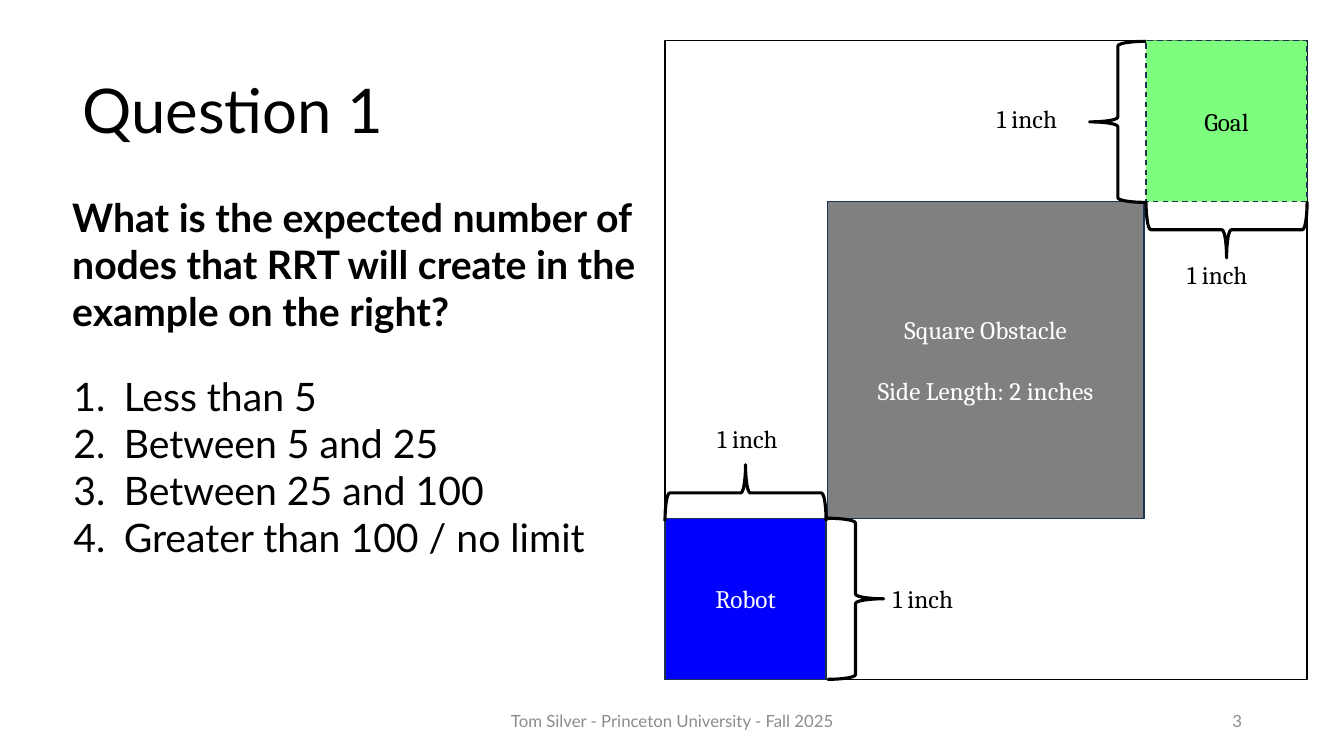
"""Build the slide that asks how many nodes RRT will create."""
from dataclasses import dataclass

from lxml import etree
from pptx import Presentation
from pptx.dml.color import RGBColor
from pptx.enum.dml import MSO_LINE
from pptx.enum.shapes import MSO_SHAPE
from pptx.enum.text import MSO_ANCHOR, PP_ALIGN
from pptx.oxml.ns import qn
from pptx.util import Cm, Pt

RECT, BRACE = MSO_SHAPE.RECTANGLE, MSO_SHAPE.RIGHT_BRACE
TOP, MID = MSO_ANCHOR.TOP, MSO_ANCHOR.MIDDLE
LEFT, MIDST, RIGHT = PP_ALIGN.LEFT, PP_ALIGN.CENTER, PP_ALIGN.RIGHT
DASH = MSO_LINE.DASH

HUES = {
    "black": "000000",
    "white": "FFFFFF",
    "navy": "1E3256",
    "blue": "0000FF",
    "gray": "808080",
    "green": "7EFE7E",
    "foot": "8C8C8C",
}
INCH = 4.06
DEPTH = 1.42


@dataclass
class Block:
    box: tuple
    fill: str | None
    edge: str
    lines: tuple = ()
    ink: str = "white"
    dash: bool = False


@dataclass
class Span:
    brace: tuple
    turn: int
    label: tuple


@dataclass
class Note:
    box: tuple
    lines: tuple
    size: int
    face: str = "Lato"
    ink: str = "black"
    bold: bool = False
    align: PP_ALIGN = LEFT
    anchor: MSO_ANCHOR = TOP
    gap: float = 0
    pitch: float = 1
    count: bool = False


BLOCKS = [
    Block((16.76, 1.02, 16.18, 16.1), None, "black"),
    Block((16.76, 13.06, INCH, INCH), "blue", "navy", ("Robot",)),
    Block((20.85, 5.08, 7.98, 7.98), "gray", "navy",
          ("Square Obstacle", "Side Length: 2 inches")),
    Block((28.88, 1.02, INCH, INCH), "green", "navy", ("Goal",), "black", True),
]
SPANS = [
    Span((20.85, 13.06), 0, (22.25, 14.58)),
    Span((27.46, 1.04), 180, (24.87, 2.49)),
    Span((30.2, 3.76), 90, (29.67, 6.4)),
    Span((18.08, 10.39), 270, (17.83, 10.54)),
]
NOTES = [
    Note((1.83, 1.02, 8.89, 3.68), ("Question 1",), 44, anchor=MID, pitch=0.9),
    Note((1.57, 4.75, 14.76, 3.84),
         ("What is the expected number of nodes that RRT will create "
          "in the example on the right?",), 28, bold=True),
    Note((1.6, 9.25, 13.39, 5.05),
         ("Less than 5", "Between 5 and 25", "Between 25 and 100",
          "Greater than 100 / no limit"), 28, count=True),
    Note((11.23, 17.65, 11.43, 1.02),
         ("Tom Silver - Princeton University - Fall 2025",), 12,
         ink="foot", align=MIDST, anchor=MID),
    Note((23.93, 17.65, 7.62, 1.02), ("3",), 12,
         ink="foot", align=RIGHT, anchor=MID),
]


def hue(name: str) -> RGBColor:
    return RGBColor.from_string(HUES[name])


def apply(item, style: dict) -> None:
    for key, value in style.items():
        setattr(item, key, value)


def number(para) -> None:
    props = para._p.get_or_add_pPr()
    props.set("marL", str(Cm(1.27)))
    props.set("indent", str(-Cm(1.27)))
    etree.SubElement(props, qn("a:buFont"), typeface="+mj-lt")
    etree.SubElement(props, qn("a:buAutoNum"), type="arabicPeriod")


def write(frame, note: Note) -> None:
    apply(frame, {"word_wrap": True, "vertical_anchor": note.anchor})
    for i, line in enumerate(note.lines):
        para = frame.add_paragraph() if i else frame.paragraphs[0]
        apply(para, {"alignment": note.align, "line_spacing": note.pitch,
                     "space_before": Pt(note.gap if i else 0)})
        if note.count:
            number(para)
        run = para.add_run()
        run.text = line
        apply(run.font, {"name": note.face, "size": Pt(note.size),
                         "bold": note.bold})
        run.font.color.rgb = hue(note.ink)


def add_note(slide, note: Note) -> None:
    write(slide.shapes.add_textbox(*map(Cm, note.box)).text_frame, note)


def add_form(slide, kind: MSO_SHAPE, box: tuple, fill: str | None,
             edge: str, width: float):
    form = slide.shapes.add_shape(kind, *map(Cm, box))
    form.shadow.inherit = False
    if fill:
        form.fill.solid()
        form.fill.fore_color.rgb = hue(fill)
    else:
        form.fill.background()
    form.line.color.rgb = hue(edge)
    form.line.width = Pt(width)
    return form


def add_block(slide, block: Block) -> None:
    form = add_form(slide, RECT, block.box, block.fill, block.edge, 1)
    if block.dash:
        form.line.dash_style = DASH
    if block.lines:
        write(form.text_frame,
              Note(block.box, block.lines, 18, "Cambria", block.ink,
                   align=MIDST, anchor=MID, gap=21.5))


def add_span(slide, span: Span) -> None:
    form = add_form(slide, BRACE, (*span.brace, DEPTH, INCH),
                    None, "black", 2.25)
    form.rotation = span.turn
    add_note(slide, Note((*span.label, 2.31, 1.02), ("1 inch",), 18, "Cambria"))


def main() -> None:
    deck = Presentation()
    apply(deck, {"slide_width": Cm(33.87), "slide_height": Cm(19.05)})
    slide = deck.slides.add_slide(deck.slide_layouts[6])
    for block in BLOCKS:
        add_block(slide, block)
    for span in SPANS:
        add_span(slide, span)
    for note in NOTES:
        add_note(slide, note)
    deck.save("out.pptx")


if __name__ == "__main__":
    main()
